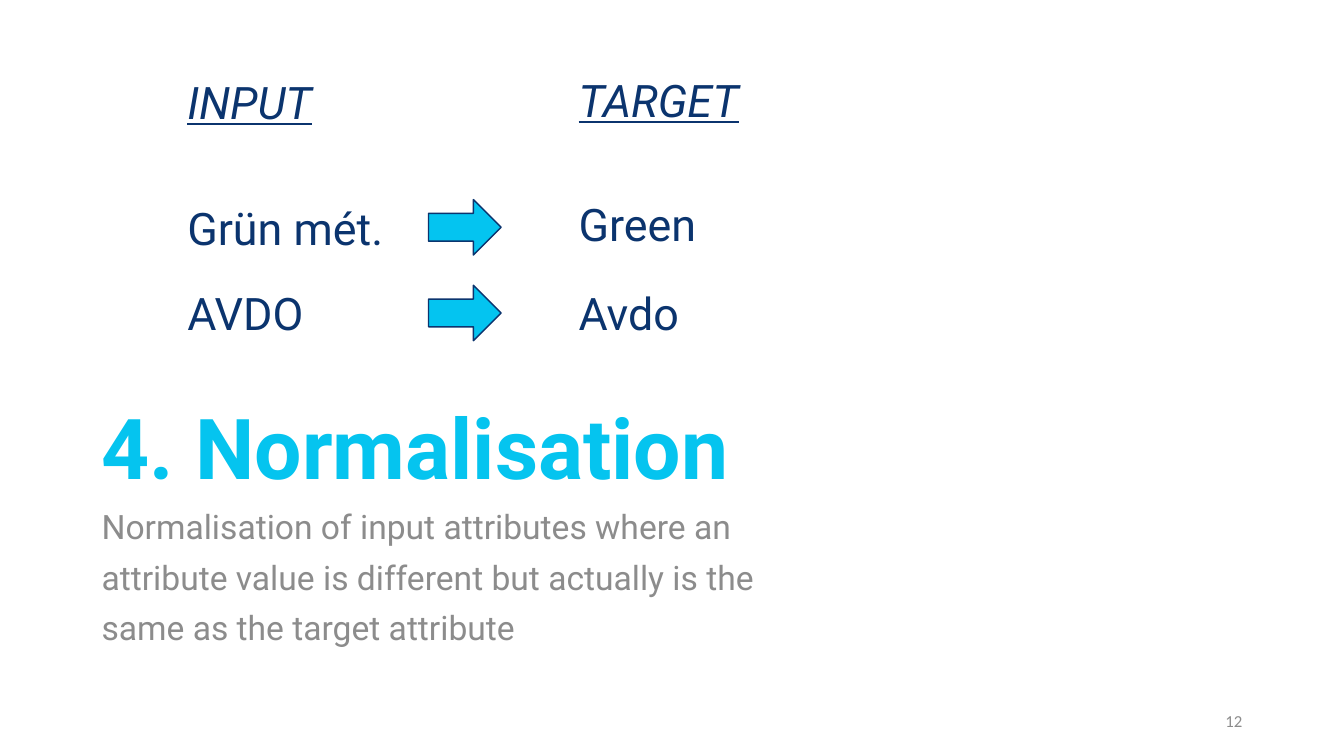
import pptx
import pptx.dml.color
import pptx.enum.shapes
import pptx.enum.text
import pptx.util

Inches = pptx.util.Inches
Pt = pptx.util.Pt
Align = pptx.enum.text.PP_ALIGN
Anchor = pptx.enum.text.MSO_ANCHOR

COLORS = {"navy": "0B346E", "cyan": "05C4EF", "arrow": "04C4F0", "gray": "8C8C8C"}
SLIDE_WIDTH, SLIDE_HEIGHT = 13.33, 7.5

INPUT_COLUMN = [("INPUT", 0.02), ("Grün mét.", 1.27), ("AVDO", 2.12)]
TARGET_COLUMN = [("TARGET", 0), ("Green", 1.23), ("Avdo", 2.12)]
EXPLANATION = [
    "Normalisation of input attributes where an",
    "attribute value is different but actually is the",
    "same as the target attribute",
]


def rgb(name):
    return pptx.dml.color.RGBColor.from_string(COLORS[name])


def place(part, box):
    part.left, part.top, part.width, part.height = map(Inches, box)


def write(frame, lines, size, color, font="Roboto", align=Align.LEFT,
          anchor=Anchor.TOP, wrap=True, spacing=1.0, before=0,
          bold=False, italic=False, underline=False):
    frame.auto_size = pptx.enum.text.MSO_AUTO_SIZE.NONE
    frame.word_wrap = wrap
    frame.vertical_anchor = anchor
    for number, line in enumerate(lines):
        paragraph = frame.add_paragraph() if number else frame.paragraphs[0]
        paragraph.alignment = align
        paragraph.line_spacing = spacing
        paragraph.space_before = Pt(before)
        run = paragraph.add_run()
        run.text = line
        run.font.name = font
        run.font.size = Pt(size)
        run.font.color.rgb = rgb(color)
        run.font.bold, run.font.italic, run.font.underline = bold, italic, underline


def add_text(slide, box, lines, size, color, **style):
    textbox = slide.shapes.add_textbox(*map(Inches, box))
    write(textbox.text_frame, lines, size, color, **style)


def add_heading(slide, box):
    left, top, width, height = box
    title_height = 3.12
    place(slide.shapes.title, (left, top, width, title_height))
    write(slide.shapes.title.text_frame, ["4. Normalisation"], 60, "cyan",
          anchor=Anchor.BOTTOM, spacing=0.9, bold=True)
    body_top = title_height + 0.03
    add_text(slide, (left, top + body_top, width, height - body_top),
             EXPLANATION, 24, "gray", spacing=0.9, before=10)


def add_mapping(slide, box):
    left, top, width, height = box
    column_width, row_height = 2.16, 0.64
    target_left = left + width - column_width
    for column_left, entries in ((left, INPUT_COLUMN), (target_left, TARGET_COLUMN)):
        for row, (word, offset) in enumerate(entries):
            add_text(slide, (column_left, top + offset, column_width, row_height),
                     [word], 32, "navy", wrap=False,
                     italic=row == 0, underline=row == 0)
    arrow_height, arrow_pitch = 0.55, 0.85
    last_arrow_top = top + height - row_height + 0.04
    for step in range(2):
        arrow = slide.shapes.add_shape(
            pptx.enum.shapes.MSO_SHAPE.RIGHT_ARROW,
            Inches(left + 2.49), Inches(last_arrow_top - step * arrow_pitch),
            Inches(0.72), Inches(arrow_height))
        arrow.shadow.inherit = False
        arrow.fill.solid()
        arrow.fill.fore_color.rgb = rgb("arrow")
        arrow.line.color.rgb = rgb("navy")
        arrow.line.width = Pt(1)


def add_page_number(slide, box):
    add_text(slide, box, ["12"], 12, "gray", font="Calibri",
             align=Align.RIGHT, anchor=Anchor.MIDDLE)


def main():
    deck = pptx.Presentation()
    deck.slide_width, deck.slide_height = Inches(SLIDE_WIDTH), Inches(SLIDE_HEIGHT)
    slide = deck.slides.add_slide(deck.slide_layouts.get_by_name("Title Only"))
    margin = 0.91
    add_heading(slide, (margin, 1.87, 11.5, 4.79))
    add_mapping(slide, (1.76, 0.67, 6.04, 2.76))
    add_page_number(slide, (SLIDE_WIDTH - margin - 3, 6.95, 3, 0.4))
    deck.save("out.pptx")


if __name__ == "__main__":
    main()
